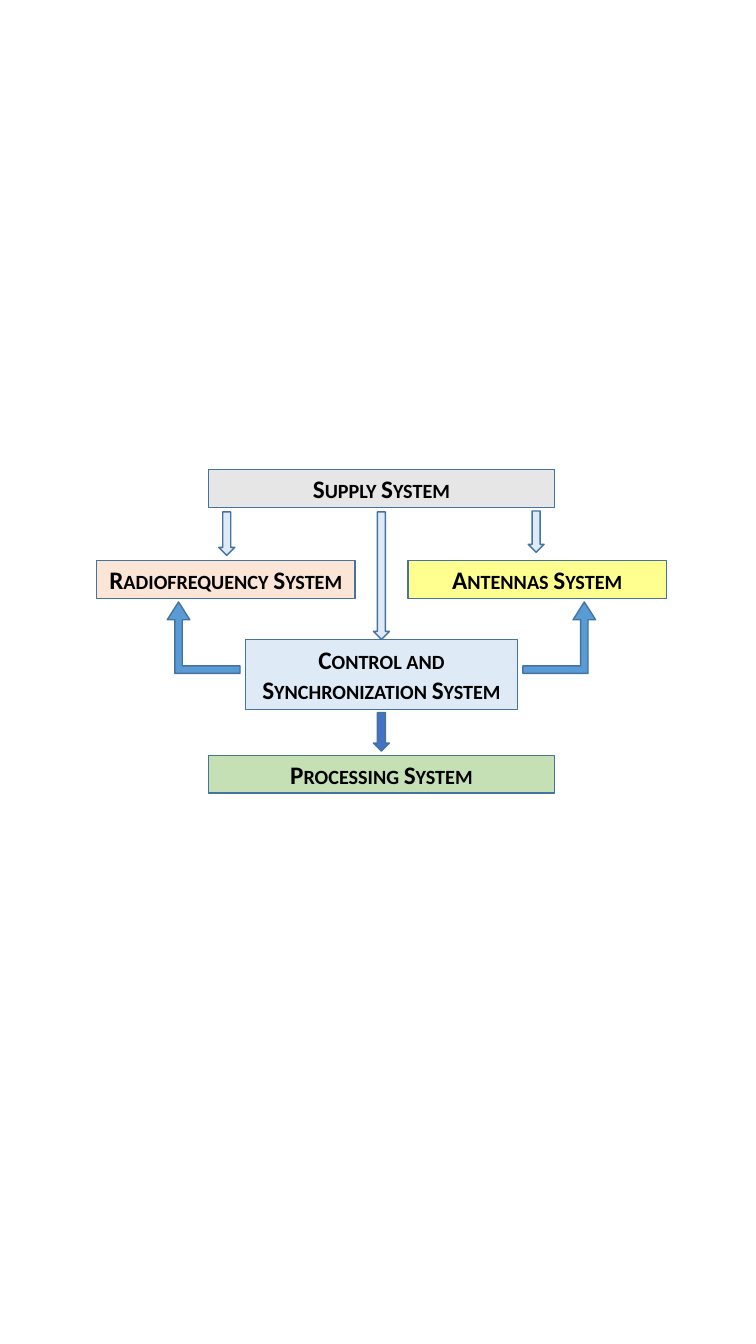
from pptx import Presentation
from pptx.dml.color import RGBColor
from pptx.enum.shapes import MSO_SHAPE
from pptx.enum.text import MSO_ANCHOR, PP_ALIGN
from pptx.util import Pt

COLORS = {
    "outline": "43739E", "text": "000000",
    "supply": "E7E6E6", "radiofrequency": "FBE5D6", "antennas": "FFFF8F",
    "control": "DEEBF7", "processing": "C5E0B4",
    "supply_arrow": "DEEBF7", "control_arrow": "5B9BD5", "processing_arrow": "4472C4",
}


def add_block(slide, kind, center, top, width, height, color):
    """Add an outlined shape centred horizontally on the given position."""
    shape = slide.shapes.add_shape(
        kind, Pt(center - width / 2), Pt(top), Pt(width), Pt(height))
    shape.shadow.inherit = False
    shape.fill.solid()
    shape.fill.fore_color.rgb = RGBColor.from_string(COLORS[color])
    shape.line.color.rgb = RGBColor.from_string(COLORS["outline"])
    shape.line.width = Pt(1)
    return shape


def add_system(slide, name, center, top, width, height, color):
    shape = add_block(slide, MSO_SHAPE.RECTANGLE, center, top, width, height, color)
    text_frame = shape.text_frame
    text_frame.word_wrap = True
    text_frame.vertical_anchor = MSO_ANCHOR.MIDDLE
    text_frame.text = name
    paragraph = text_frame.paragraphs[0]
    paragraph.alignment = PP_ALIGN.CENTER
    run = paragraph.runs[0]
    run.font.name = "Calibri"
    run.font.size = Pt(18)
    run.font.bold = True
    run.font.color.rgb = RGBColor.from_string(COLORS["text"])
    run.font._element.set("cap", "small")


def add_bent_arrow(slide, center, top, flipped):
    shape = add_block(slide, MSO_SHAPE.BENT_UP_ARROW, center, top, 52, 51, "control_arrow")
    for index, value in enumerate((0.104, 0.158, 0.25)):
        shape.adjustments[index] = value
    if flipped:
        shape._element.spPr.xfrm.set("flipH", "1")


def add_system_diagram(slide, left, top, width):
    center = left + width / 2
    side_width = 184.5
    systems = [
        ("Supply System", center, 0, 247, 27, "supply"),
        ("Radiofrequency System", left + side_width / 2, 65, side_width, 27, "radiofrequency"),
        ("Antennas System", left + width - side_width / 2, 65, side_width, 27, "antennas"),
        ("Control and Synchronization System", center, 121.5, 194, 50, "control"),
        ("Processing System", center, 204, 247, 27, "processing"),
    ]
    for name, middle, offset, system_width, height, color in systems:
        add_system(slide, name, middle, top + offset, system_width, height, color)

    down_arrows = [
        (-110.5, 30.2, 31, "supply_arrow"),
        (110.5, 29.5, 29.5, "supply_arrow"),
        (0, 30.2, 91, "supply_arrow"),
        (0, 173.5, 27.5, "processing_arrow"),
    ]
    for shift, offset, height, color in down_arrows:
        add_block(slide, MSO_SHAPE.DOWN_ARROW, center + shift, top + offset, 11.4, height, color)

    for side in (1, -1):
        add_bent_arrow(slide, center + side * 127, top + 94.5, flipped=side < 0)


def main():
    presentation = Presentation()
    presentation.slide_width = Pt(540)
    presentation.slide_height = Pt(960)
    slide = presentation.slides.add_slide(presentation.slide_layouts[6])
    add_system_diagram(slide, left=69, top=335.5, width=407)
    presentation.save("out.pptx")


if __name__ == "__main__":
    main()
